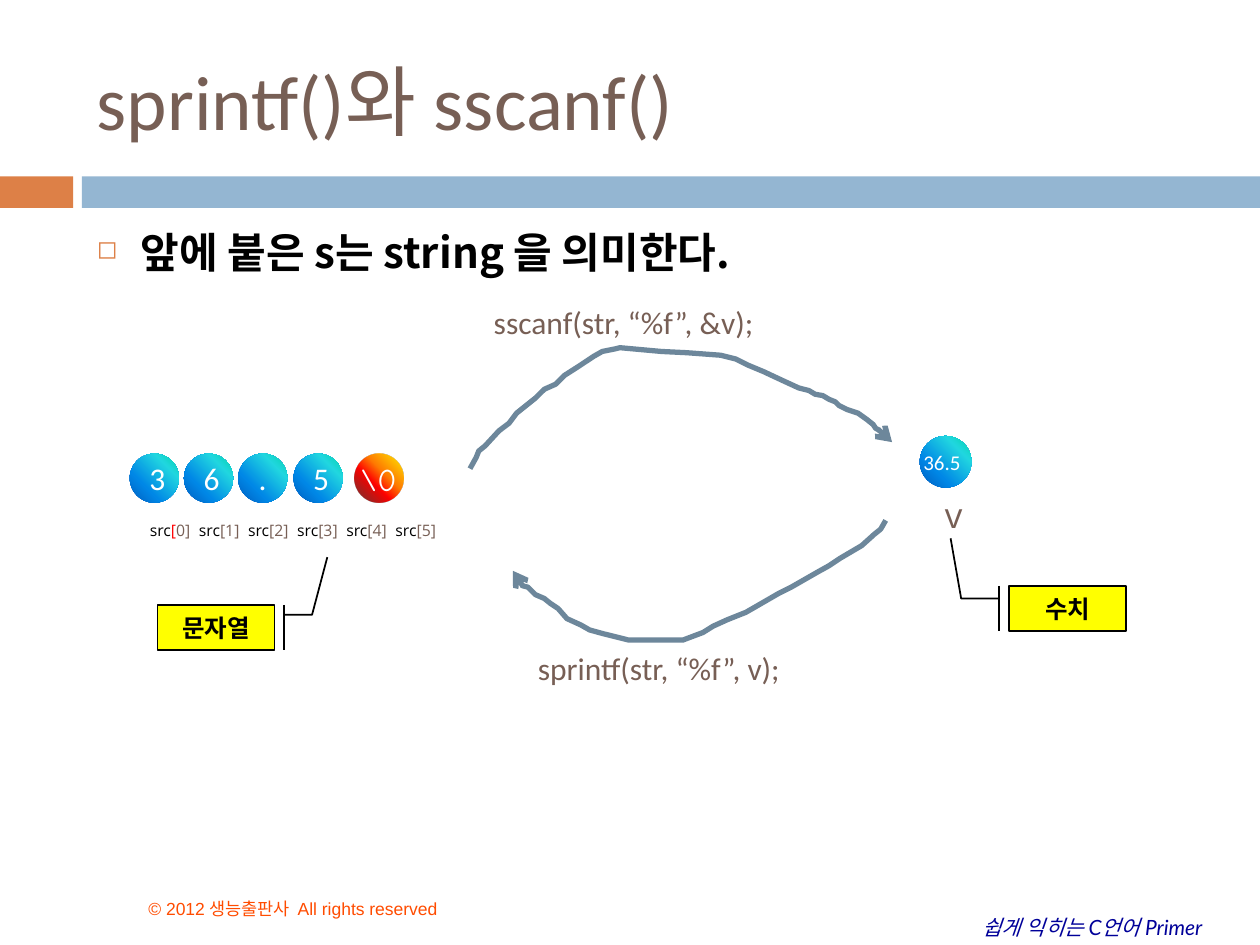
from lxml import etree
from pptx import Presentation
from pptx.dml.color import RGBColor
from pptx.enum.shapes import MSO_SHAPE as Shape
from pptx.enum.text import MSO_ANCHOR as Anchor, PP_ALIGN as Align
from pptx.oxml.ns import qn
from pptx.util import Pt

PX = 9144
DRAWING_NS = "http://schemas.openxmlformats.org/drawingml/2006/main"
KOREAN = "Noto Sans CJK KR"

BLACK, WHITE = RGBColor(0, 0, 0), RGBColor(255, 255, 255)
BROWN, ORANGE = RGBColor(0x77, 0x5F, 0x55), RGBColor(0xDD, 0x80, 0x47)
PALE_BLUE, SLATE = RGBColor(0x94, 0xB6, 0xD2), RGBColor(0x6D, 0x87, 0x9B)
NAVY, VERMILION = RGBColor(0, 0, 0x99), RGBColor(0xFF, 0x4C, 0)
RED, YELLOW = RGBColor(255, 0, 0), RGBColor(255, 255, 0)

TITLE = {"name": "Calibri", "size": Pt(44), "color": BROWN}
BODY = {"name": KOREAN, "size": Pt(24), "color": BLACK, "bold": True}
TAG = {**BODY, "size": Pt(14)}
CALL = {**TITLE, "size": Pt(18)}
DIGIT = {**CALL, "color": WHITE}
NUMBER = {**DIGIT, "size": Pt(12)}
TERMINATOR = {**DIGIT, "name": "Comic Neue"}
VARIABLE = {"name": "Open Sans", "size": Pt(20), "color": BROWN}
INDEX = {**VARIABLE, "size": Pt(9)}
BOOK = {"name": "Lato", "size": Pt(12), "color": NAVY, "italic": True}
RIGHTS = {"name": "Arial", "size": Pt(10), "color": VERMILION}

BANDS = [((0, 140, 58, 25), ORANGE), ((65, 140, 935, 25), PALE_BLUE)]
BLUE_BALL = [(0, "03D4A8", 100), (25, "21D6E0", 100), (68, "0087E6", 100), (100, "005CBF", 100)]
RED_BALL = [(0, "FFF200", 100), (40, "FF7A00", 100), (60, "FF0300", 100), (100, "4D0808", 80)]
DIGITS = "36.5"
INDEX_COUNT, INDEX_PITCH = 6, 39

TEXTS = [
    ("sprintf()와 sscanf()", (67, 25, 892, 108), TITLE, Anchor.MIDDLE),
    ("\\0", (276, 360, 51, 40), TERMINATOR, Anchor.TOP),
    ("36.5", (723, 352, 72, 30), NUMBER, Anchor.TOP),
    ("v", (740, 387, 62, 44), VARIABLE, Anchor.TOP),
    ("sscanf(str, “%f”, &v);", (382, 236, 275, 40), CALL, Anchor.TOP),
    ("sprintf(str, “%f”, v);", (417, 510, 260, 40), CALL, Anchor.TOP),
    ("쉽게 익히는 C언어 Primer", (770, 721, 218, 30), BOOK, Anchor.TOP),
    ("© 2012 생능출판사  All rights reserved", (108, 692, 383, 42), RIGHTS, Anchor.BOTTOM),
]
CALLOUTS = [
    ("문자열", (125, 480, 93, 36), (0.22, 1.08, 0.22, 1.32, -1.05, 1.45)),
    ("수치", (801, 465, 93, 36), (0.28, -0.09, 0.28, -0.41, -1.05, -0.5)),
]
SCAN_CURVE = [
    (373, 372), (378, 363), (380, 358), (385, 354), (396, 342), (404, 336), (410, 328),
    (425, 316), (432, 309), (441, 305), (448, 298), (459, 291), (471, 283), (478, 279),
    (488, 277), (492, 276), (525, 279), (545, 280), (572, 282), (584, 285), (594, 290),
    (606, 295), (621, 302), (634, 308), (642, 310), (647, 313), (653, 314), (658, 317),
    (663, 319), (666, 322), (672, 325), (681, 328), (688, 333), (693, 337), (695, 340),
    (699, 342), (703, 346), (708, 351),
]
PRINT_CURVE = [
    (703, 413), (699, 420), (694, 424), (684, 433), (667, 443), (658, 449), (649, 454),
    (628, 466), (618, 471), (599, 482), (592, 486), (577, 492), (566, 497), (558, 502),
    (542, 508), (532, 508), (499, 508), (487, 505), (479, 503), (468, 500), (461, 496),
    (450, 491), (443, 483), (437, 479), (432, 475), (425, 472), (419, 466), (415, 465),
    (410, 461), (408, 456), (407, 453),
]


def scaled(bounds):
    """Turn px lengths into EMU."""
    return [value * PX for value in bounds]


def add_node(parent, tag, **attributes):
    """Append a DrawingML element."""
    node = etree.SubElement(parent, qn(f"a:{tag}"))
    for key, value in attributes.items():
        node.set(key, str(value))
    return node


def add_span(para, text, style):
    """Add a run in the given style."""
    span = para.add_run()
    span.text = text
    for key, value in style.items():
        if key == "color":
            span.font.color.rgb = value
        else:
            setattr(span.font, key, value)
    add_node(span.font._element, "ea", typeface=KOREAN)


def add_text(page, bounds, anchor=Anchor.TOP):
    """Add a wrapping text box and return its first paragraph."""
    frame = page.shapes.add_textbox(*scaled(bounds)).text_frame
    frame.word_wrap = True
    frame.vertical_anchor = anchor
    return frame.paragraphs[0]


def add_filled(page, kind, bounds, color):
    """Add a preset shape with a plain fill and no outline."""
    box = page.shapes.add_shape(kind, *scaled(bounds))
    box.shadow.inherit = False
    box.fill.solid()
    box.fill.fore_color.rgb = color
    box.line.fill.background()
    return box


def add_label(box, text, style):
    """Centre a label in a shape."""
    box.text_frame.vertical_anchor = Anchor.MIDDLE
    para = box.text_frame.paragraphs[0]
    para.alignment = Align.CENTER
    add_span(para, text, style)


def add_ball(page, left, top, size, stops):
    """Add a circle lit from its top right corner."""
    ball = add_filled(page, Shape.OVAL, (left, top, size, size), WHITE)
    solid = ball._element.spPr.find(qn("a:solidFill"))
    gradient = etree.Element(qn("a:gradFill"), nsmap={"a": DRAWING_NS})
    stop_list = add_node(gradient, "gsLst")
    for position, color, opacity in stops:
        stop = add_node(stop_list, "gs", pos=position * 1000)
        shade = add_node(stop, "srgbClr", val=color)
        if opacity < 100:
            add_node(shade, "alpha", val=opacity * 1000)
    circle = add_node(gradient, "path", path="circle")
    add_node(circle, "fillToRect", l=100000, b=100000)
    solid.getparent().replace(solid, gradient)
    return ball


def add_curve(page, points):
    """Draw an open hand-drawn arrow through the points."""
    builder = page.shapes.build_freeform(*points[0], scale=PX)
    builder.add_line_segments(points[1:], close=False)
    curve = builder.convert_to_shape()
    curve.shadow.inherit = False
    curve.fill.background()
    curve.line.color.rgb = SLATE
    curve.line.width = Pt(3)
    add_node(curve.line._get_or_add_ln(), "round")
    add_node(curve.line._get_or_add_ln(), "tailEnd", type="arrow")


def main():
    """Build the slide."""
    deck = Presentation()
    deck.slide_width, deck.slide_height = scaled((1000, 750))
    page = deck.slides.add_slide(deck.slide_layouts[6])
    for bounds, color in BANDS:
        add_filled(page, Shape.RECTANGLE, bounds, color)

    for order, digit in enumerate(DIGITS):
        add_label(add_ball(page, 103 + order * 130 // 3, 360, 39, BLUE_BALL), digit, DIGIT)
    add_ball(page, 281, 360, 39, RED_BALL)
    add_ball(page, 730, 346, 41, BLUE_BALL)

    for text, bounds, style, anchor in TEXTS:
        add_span(add_text(page, bounds, anchor), text, style)

    body = add_text(page, (67, 175, 892, 492))
    settings = body._p.get_or_add_pPr()
    settings.set("marL", str(35 * PX))
    settings.set("indent", str(-35 * PX))
    add_node(add_node(settings, "buClr"), "srgbClr", val=str(ORANGE))
    add_node(settings, "buSzPct", val=60000)
    add_node(settings, "buChar", char="◻")
    add_span(body, "앞에 붙은 s는 string 을 의미한다.", BODY)

    indexes = add_text(page, (109, 408, 275, 25))
    tabs = add_node(indexes._p.get_or_add_pPr(), "tabLst")
    for order in range(INDEX_COUNT):
        if order:
            add_node(tabs, "tab", pos=order * INDEX_PITCH * PX, algn="l")
        add_span(indexes, "\tsrc" if order else "src", {**INDEX, "color": BLACK})
        add_span(indexes, "[", INDEX if order else {**INDEX, "color": RED})
        add_span(indexes, f"{order}]", INDEX)

    for text, bounds, adjustments in CALLOUTS:
        callout = add_filled(page, Shape.LINE_CALLOUT_2_BORDER_AND_ACCENT_BAR, bounds, YELLOW)
        callout.line.color.rgb = BLACK
        callout.line.width = Pt(1)
        for order, value in enumerate(adjustments):
            callout.adjustments[order] = value
        add_label(callout, text, TAG)

    for points in (SCAN_CURVE, PRINT_CURVE):
        add_curve(page, points)
    deck.save("out.pptx")


if __name__ == "__main__":
    main()
